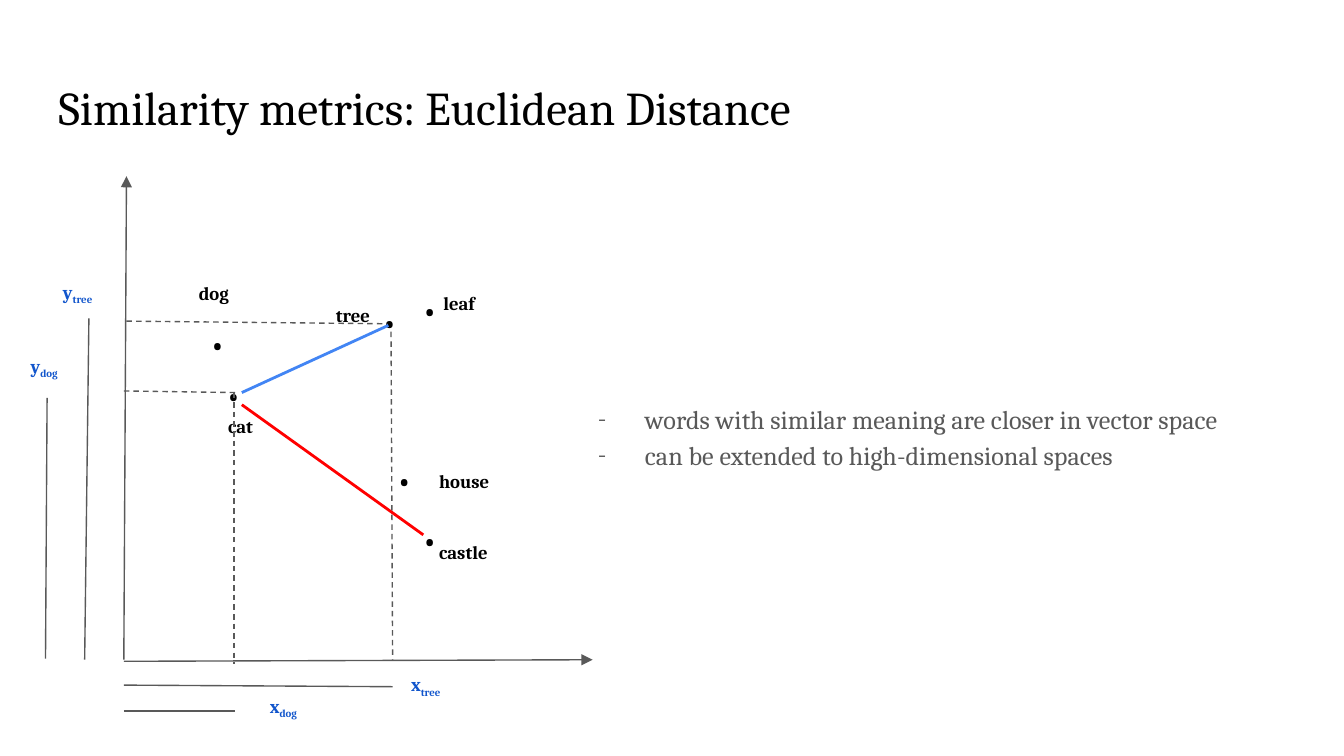
from lxml import etree
from pptx import Presentation
from pptx import util as u
from pptx.dml import color
from pptx.enum import dml, shapes, text
from pptx.oxml import ns

COLORS = {"black": "000000", "gray": "595959", "label": "1155CC",
          "near": "4285F4", "far": "FF0000"}

deck = Presentation()
deck.slide_width, deck.slide_height = u.Cm(25.4), u.Cm(14.29)
page = deck.slides.add_slide(deck.slide_layouts[5])


def write(words, left, top, width=3.18, height=1.6, size=10, ink="black",
          bold=True, subscript="", bullet="", spacing=1.0, box=None):
    box = box or page.shapes.add_textbox(0, 0, 0, 0)
    box.left, box.top, box.width, box.height = map(u.Cm, (left, top, width, height))
    frame = box.text_frame
    frame.word_wrap = True
    frame.auto_size = text.MSO_AUTO_SIZE.NONE
    frame.vertical_anchor = text.MSO_ANCHOR.TOP
    frame.margin_left = frame.margin_right = u.Cm(0.25)
    frame.margin_top = frame.margin_bottom = u.Cm(0.25)
    for number, line in enumerate(words.split("\n")):
        para = frame.add_paragraph() if number else frame.paragraphs[0]
        para.alignment = text.PP_ALIGN.LEFT
        para.line_spacing = spacing
        if bullet:
            props = para._p.get_or_add_pPr()
            props.set("marL", str(u.Cm(1.27)))
            props.set("indent", str(u.Cm(-0.89)))
            tint = etree.SubElement(props, ns.qn("a:buClr"))
            etree.SubElement(tint, ns.qn("a:srgbClr"), val=COLORS[ink])
            etree.SubElement(props, ns.qn("a:buFont"), typeface="Cambria")
            etree.SubElement(props, ns.qn("a:buChar"), char=bullet)
        for part in filter(None, (line, subscript)):
            span = para.add_run()
            span.text = part
            span.font.name = "Cambria"
            span.font.size = u.Pt(size)
            span.font.bold = bold
            span.font.color.rgb = color.RGBColor.from_string(COLORS[ink])
            if part == subscript:
                span.font._element.set("baseline", "-25000")


write("Similarity metrics: Euclidean Distance", 0.86, 1.24, width=23.67,
      size=25.2, bold=False, box=page.shapes.title)

for left, top in [(3.76, 5.49), (4.06, 6.45), (7.01, 5.08),
                  (7.29, 8.05), (7.77, 9.19), (7.77, 4.85)]:
    write(".", left, top, width=0.76, size=25.2)

for word, left, top, width in [
    ("dog", 3.51, 5.08, 3.18), ("cat", 4.06, 7.59, 3.18), ("tree", 6.1, 5.49, 3.18),
    ("leaf", 8.13, 5.26, 1.32), ("house", 8.05, 8.64, 2.06), ("castle", 8.05, 9.98, 2.06),
]:
    write(word, left, top, width=width)

lines = [
    ("axis", "gray", 2.34, 12.5, 11.2, 12.47),
    ("axis", "gray", 2.34, 12.47, 2.39, 3.33),
    ("guide", "gray", 4.42, 7.42, 4.42, 12.55),
    ("guide", "gray", 7.39, 6.27, 7.42, 12.47),
    ("guide", "gray", 2.39, 6.07, 7.32, 6.12),
    ("guide", "gray", 2.34, 7.39, 4.45, 7.42),
    ("distance", "near", 4.57, 7.42, 7.34, 6.15),
    ("extent", "gray", 2.34, 12.95, 7.42, 12.98),
    ("extent", "gray", 2.34, 13.44, 4.45, 13.44),
    ("extent", "gray", 1.6, 12.47, 1.68, 6.02),
    ("extent", "gray", 0.86, 12.45, 0.89, 7.52),
    ("distance", "far", 4.57, 7.65, 8, 10.11),
]
for role, ink, *ends in lines:
    line = page.shapes.add_connector(shapes.MSO_CONNECTOR.STRAIGHT, *map(u.Cm, ends))
    line.line.color.rgb = color.RGBColor.from_string(COLORS[ink])
    line.line.width = u.Pt(1.5 if role == "distance" else 0.75)
    if role == "guide":
        line.line.dash_style = dml.MSO_LINE.DASH
    if role == "axis":
        etree.SubElement(line.line._get_or_add_ln(), ns.qn("a:tailEnd"), type="triangle")
    etree.SubElement(line._element.spPr, ns.qn("a:effectLst"))

for axis, word, left, top in [("y", "tree", 0.94, 5.05), ("y", "dog", 0.33, 6.45),
                              ("x", "tree", 7.52, 12.47), ("x", "dog", 4.85, 12.88)]:
    write(axis, left, top, ink="label", subscript=word)

write("words with similar meaning are closer in vector space\n"
      "can be extended to high-dimensional spaces",
      10.67, 7.29, width=14.73, height=5.36, size=14, ink="gray",
      bold=False, bullet="-", spacing=1.15)

deck.save("out.pptx")
